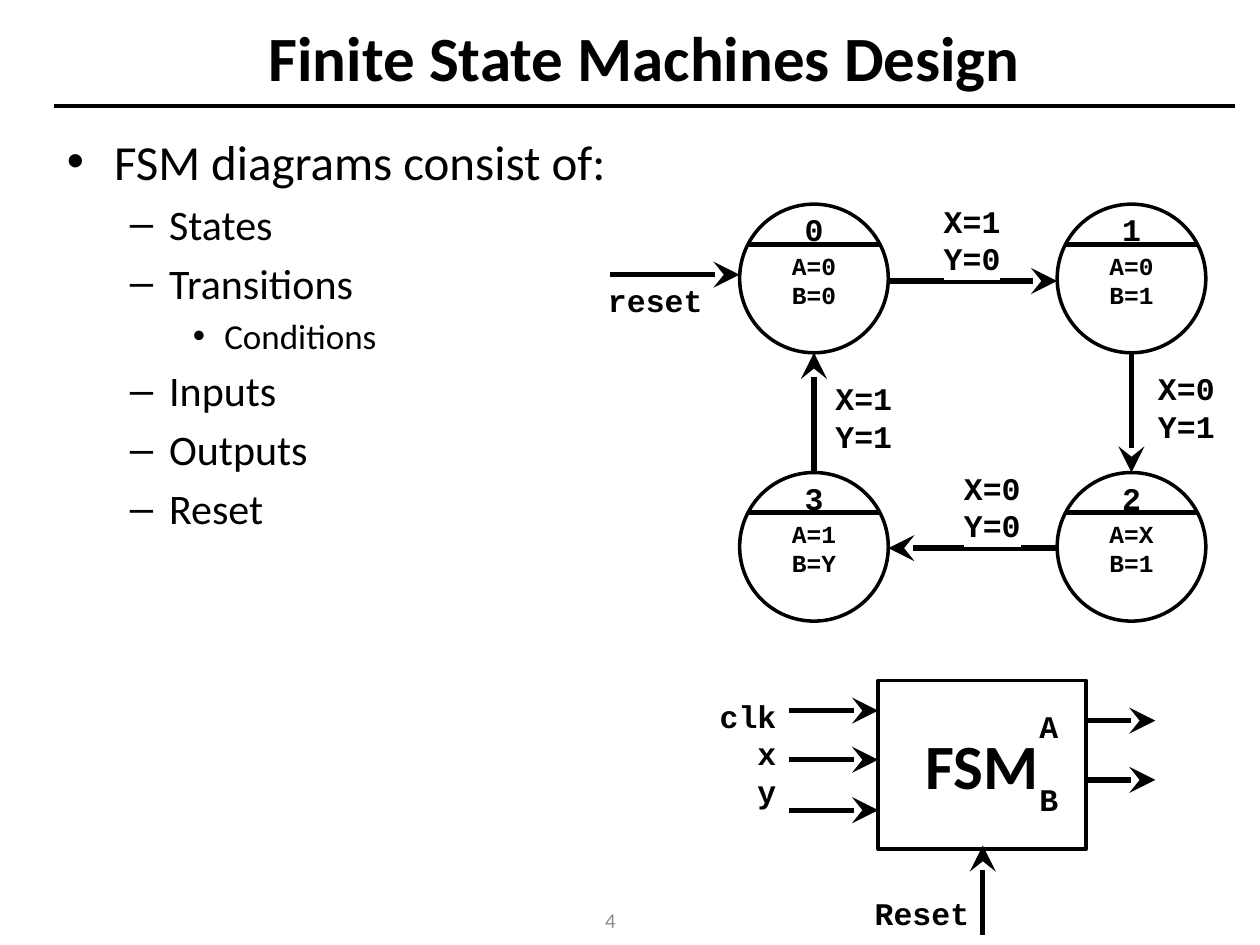
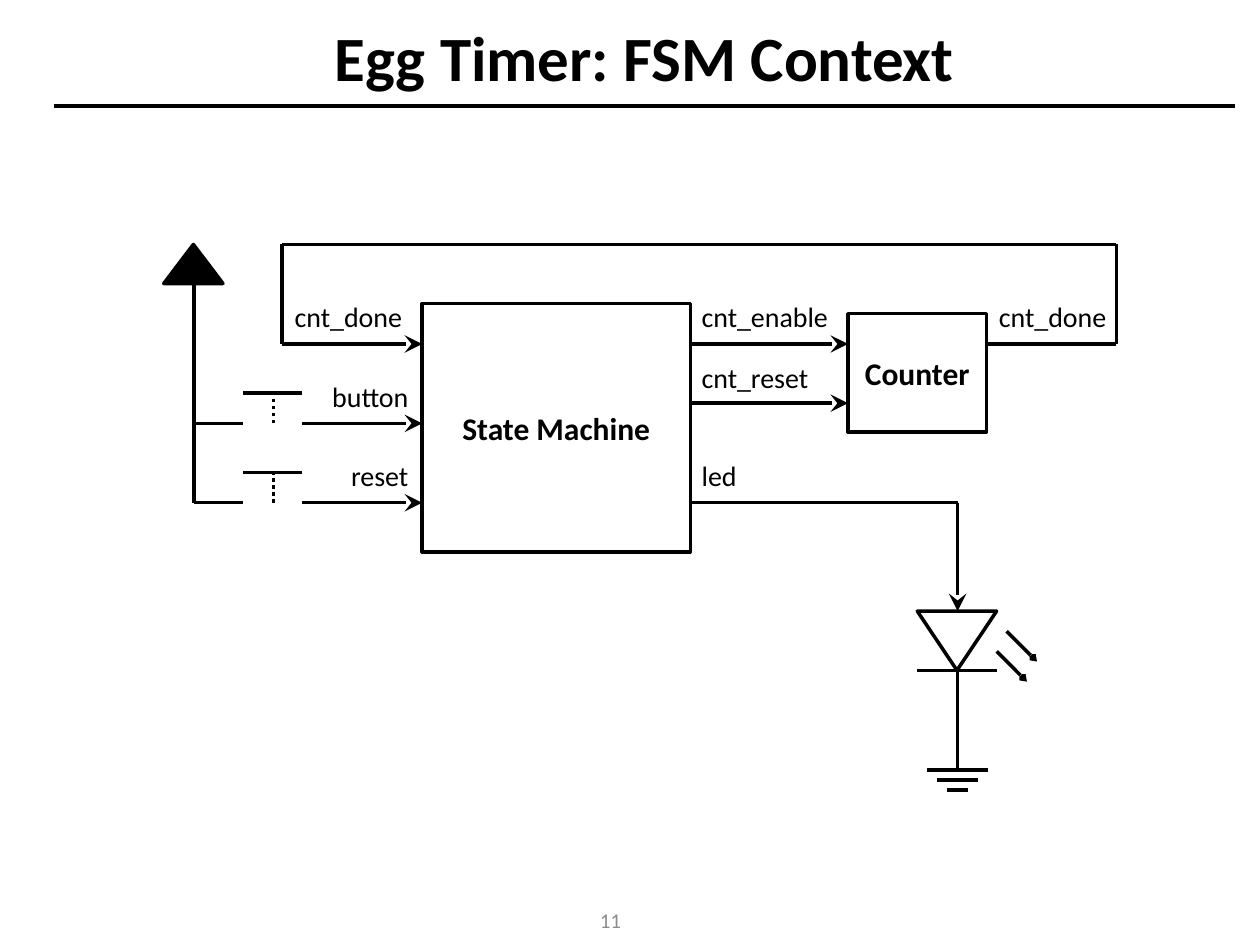
from dataclasses import dataclass

from lxml.etree import SubElement
from pptx import Presentation
from pptx.dml.color import RGBColor
from pptx.enum.dml import MSO_LINE
from pptx.enum.shapes import MSO_CONNECTOR, MSO_SHAPE
from pptx.enum.text import MSO_ANCHOR, MSO_AUTO_SIZE, PP_ALIGN
from pptx.oxml import parse_xml
from pptx.oxml.ns import nsdecls, qn
from pptx.util import Pt

PX = 9144  # EMU per px, 100 px to the inch
LEFT, CENTER, RIGHT = PP_ALIGN.LEFT, PP_ALIGN.CENTER, PP_ALIGN.RIGHT


@dataclass(frozen=True)
class Theme:
    ink: str = "000000"
    paper: str = "FFFFFF"
    muted: str = "8C8C8C"
    sans: str = "Calibri"
    mono: str = "Courier New"
    title: int = 36
    levels: tuple = (28, 24, 20)
    code: int = 18
    output: int = 14
    block: int = 18
    signal: int = 16
    number: int = 12
    thin: int = 2
    thick: int = 3


T = Theme()


def px(*values):
    return [v * PX for v in values]


def style(font, size, name=T.sans, color=T.ink, bold=False):
    for key, value in {"size": Pt(size), "name": name, "bold": bold}.items():
        setattr(font, key, value)
    font.color.rgb = RGBColor.from_string(color)


def highlight(r):
    """Give a run a paper-coloured background that covers lines behind it."""
    mark = parse_xml(f'<a:highlight {nsdecls("a")}><a:srgbClr val="{T.paper}"/></a:highlight>')
    r._r.rPr.find(qn("a:solidFill")).addnext(mark)


def write(tf, lines, align, size, gap=0, covering=False, **font):
    for i, line in enumerate(lines):
        p = tf.paragraphs[0] if i == 0 else tf.add_paragraph()
        p.alignment = align
        if i and gap:
            p.space_before = Pt(gap)
        r = p.add_run()
        r.text = line
        style(r.font, size, **font)
        if covering:
            highlight(r)


def label(s, box, lines, align=LEFT, size=T.signal, anchor=MSO_ANCHOR.TOP, **font):
    tf = s.shapes.add_textbox(*px(*box)).text_frame
    form = {"word_wrap": True, "auto_size": MSO_AUTO_SIZE.NONE, "vertical_anchor": anchor}
    for key, value in form.items():
        setattr(tf, key, value)
    write(tf, lines, align, size, **font)


def code(s, box, lines, align=CENTER, size=T.code, gap=0):
    label(s, box, lines, align, size, gap=gap, name=T.mono, bold=True, covering=True)


def outline(s, kind, box, fill=T.paper):
    sp = s.shapes.add_shape(kind, *px(*box))
    sp.shadow.inherit = False
    sp.fill.solid()
    sp.fill.fore_color.rgb = RGBColor.from_string(fill)
    sp.line.color.rgb = RGBColor.from_string(T.ink)
    sp.line.width = Pt(T.thin)
    return sp


def block(s, box, text, size):
    sp = outline(s, MSO_SHAPE.RECTANGLE, box)
    sp.text_frame.vertical_anchor = MSO_ANCHOR.MIDDLE
    write(sp.text_frame, [text], CENTER, size, bold=True)


def wire(s, start, end, width=T.thin, head=None, head_size="lg", dash=None):
    cxn = s.shapes.add_connector(MSO_CONNECTOR.STRAIGHT, *px(*start, *end))
    cxn.line.color.rgb = RGBColor.from_string(T.ink)
    cxn.line.width = Pt(width)
    if dash:
        cxn.line.dash_style = dash
    if head:
        ln = cxn.line._get_or_add_ln()
        SubElement(ln, qn("a:tailEnd"), type=head, w=head_size, len=head_size)
    SubElement(cxn._element.spPr, qn("a:effectLst"))


def arrow(s, start, end, width=T.thin):
    wire(s, start, end, width, "stealth")


def route(s, *points):
    """Draw straight wires through the points, one after another."""
    for start, end in zip(points, points[1:]):
        wire(s, start, end)


def add_slide(prs, layout, title, number):
    s = prs.slides.add_slide(prs.slide_layouts[layout])
    wire(s, (43, 84), (980, 84))
    place(s.shapes.title, (35, 13, 953, 63))
    s.shapes.title.text_frame.vertical_anchor = MSO_ANCHOR.MIDDLE
    write(s.shapes.title.text_frame, [title], CENTER, T.title, bold=True)
    label(s, (382, 710, 205, 40), [str(number)], CENTER, T.number,
          MSO_ANCHOR.MIDDLE, color=T.muted)
    return s


def place(holder, box):
    for key, value in zip(("left", "top", "width", "height"), px(*box)):
        setattr(holder, key, value)
    holder.text_frame.auto_size = MSO_AUTO_SIZE.NONE


def bullets(holder, items):
    tf = holder.text_frame
    for i, (level, text) in enumerate(items):
        p = tf.paragraphs[0] if i == 0 else tf.add_paragraph()
        p.level = level
        r = p.add_run()
        r.text = text
        style(r.font, T.levels[level])
    tf.paragraphs[0].space_before = Pt(0)


def state(s, x, y, name, outputs):
    """Draw a state: its name above the chord, its outputs below."""
    size, chord, inset = 118, 32, 7
    outline(s, MSO_SHAPE.FLOWCHART_CONNECTOR, (x, y, size, size))
    code(s, (x, y, size, 40), [name])
    wire(s, (x + inset, y + chord), (x + size - inset, y + chord), T.thick)
    code(s, (x, y + chord, size, 57), outputs, size=T.output)


def state_diagram(s):
    left, right, top, bottom, size = 587, 839, 162, 375, 118
    half = size // 2
    state(s, left, top, "0", ["A=0", "B=0"])
    state(s, right, top, "1", ["A=0", "B=1"])
    state(s, right, bottom, "2", ["A=X", "B=1"])
    state(s, left, bottom, "3", ["A=1", "B=Y"])
    transitions = [
        ((left + size, top + 61), (right, top + 61), (728, 155, 87, 71), ["X=1", "Y=0"]),
        ((right + half, top + size), (right + half, bottom), (902, 288, 79, 71), ["X=0", "Y=1"]),
        ((right, bottom + 60), (left + size, bottom + 60), (752, 367, 71, 71), ["X=0", "Y=0"]),
        ((left + half, bottom), (left + half, top + size), (642, 296, 87, 71), ["X=1", "Y=1"]),
        ((484, 218), (left, 218), (469, 218, 102, 40), ["reset"]),
    ]
    for start, end, box, condition in transitions:
        arrow(s, start, end, T.thick)
        code(s, box, condition)


def fsm_interface(s):
    x, y, w, h = 697, 540, 165, 134
    block(s, (x, y, w, h), "FSM", T.title)
    for input_y in (564, 603, 643):
        arrow(s, (626, input_y), (x, input_y), T.thick)
    for output_y in (572, 619):
        arrow(s, (x + w, output_y), (917, output_y), T.thick)
    arrow(s, (780, 742), (780, 671), T.thick)
    code(s, (524, 548, 102, 101), ["clk", "x", "y"], RIGHT)
    code(s, (815, 556, 102, 101), ["A", "B"], LEFT, gap=T.code * 1.13)
    code(s, (677, 705, 102, 40), ["Reset"], RIGHT)


def supply_and_buttons(s):
    rail, contact, far_contact, machine = 154, 193, 240, 335
    outline(s, MSO_SHAPE.ISOSCELES_TRIANGLE, (130, 194, 47, 31), T.ink)
    wire(s, (rail, 225), (rail, 399))
    for y, name in ((336, "button"), (399, "reset")):
        wire(s, (rail, y), (contact, y))
        wire(s, (contact, y - 24), (far_contact, y - 24))
        wire(s, (217, y), (217, y - 24), dash=MSO_LINE.ROUND_DOT)
        arrow(s, (far_contact, y), (machine, y))
        label(s, (far_contact, y - 40, 94, 37), [name], RIGHT)


def led_to_ground(s):
    axis = 760
    outline(s, MSO_SHAPE.ISOSCELES_TRIANGLE, (728, 485, 63, 47)).rotation = 180
    wire(s, (728, 532), (791, 532))
    for x, y in ((799, 501), (791, 517)):
        wire(s, (x, y), (x + 24, y + 24), head="arrow", head_size="sm")
    wire(s, (axis, 532), (axis, 611))
    for i, half in enumerate((24, 16, 8)):
        wire(s, (axis - half, 611 + 8 * i), (axis + half, 611 + 8 * i))


def timer_blocks(s):
    block(s, (335, 241, 213, 197), "State Machine", T.block)
    block(s, (673, 249, 110, 94), "Counter", T.block)
    route(s, (783, 273), (886, 273), (886, 194), (224, 194), (224, 273))
    arrow(s, (224, 273), (335, 273))
    for y in (273, 320):
        arrow(s, (547, y), (673, y))
    wire(s, (547, 399), (760, 399))
    arrow(s, (760, 399), (760, 485))
    signals = [(224, 233, 110, "cnt_done"), (783, 233, 110, "cnt_done"),
               (547, 233, 126, "cnt_enable"), (547, 281, 126, "cnt_reset"),
               (547, 359, 55, "led")]
    for x, y, w, name in signals:
        label(s, (x, y, w, 37), [name])


def main():
    prs = Presentation()
    prs.slide_width, prs.slide_height = px(1000, 750)

    s = add_slide(prs, 1, "Finite State Machines Design", 4)
    body = s.placeholders[1]
    place(body, (43, 99, 449, 559))
    bullets(body, [(0, "FSM diagrams consist of:"), (1, "States"), (1, "Transitions"),
                   (2, "Conditions"), (1, "Inputs"), (1, "Outputs"), (1, "Reset")])
    state_diagram(s)
    fsm_interface(s)

    s = add_slide(prs, 5, "Egg Timer: FSM Context", 11)
    timer_blocks(s)
    supply_and_buttons(s)
    led_to_ground(s)

    prs.save("out.pptx")


if __name__ == "__main__":
    main()
